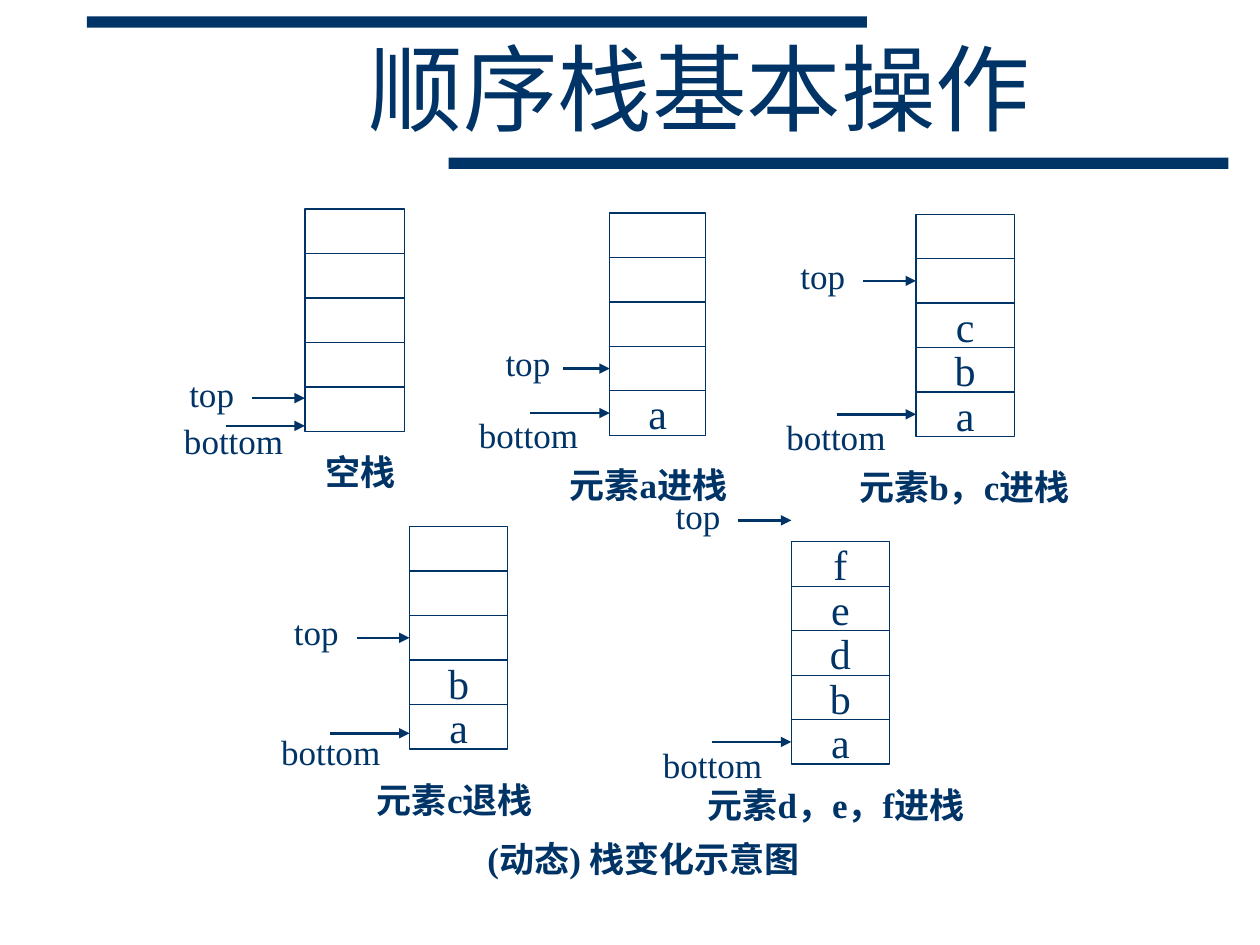
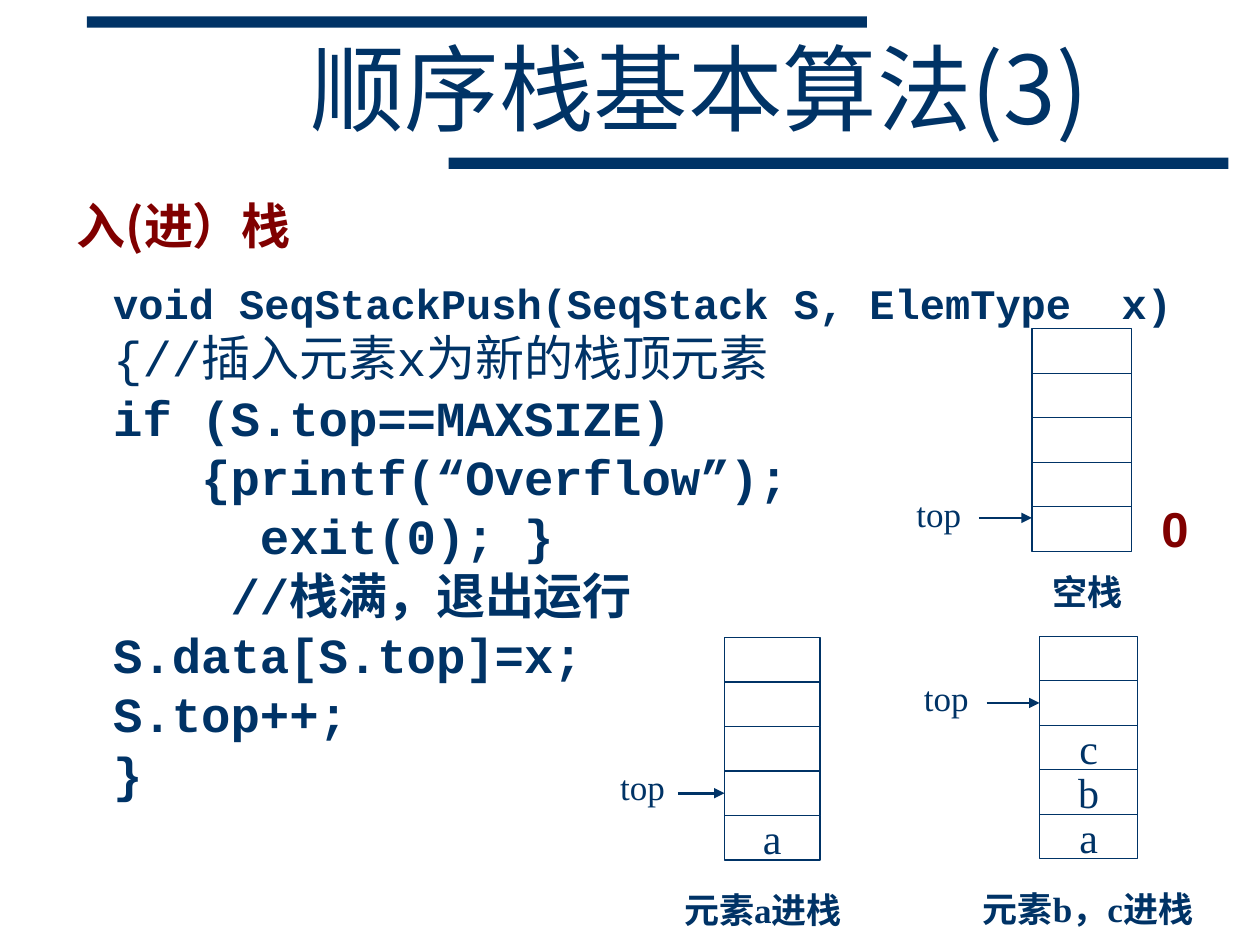
from dataclasses import dataclass

from lxml.etree import SubElement
from pptx import Presentation
from pptx.dml.color import RGBColor
from pptx.enum.shapes import MSO_CONNECTOR, MSO_SHAPE
from pptx.enum.text import MSO_ANCHOR, MSO_AUTO_SIZE, PP_ALIGN
from pptx.oxml.ns import qn
from pptx.util import Inches, Pt

NAVY, MAROON = "003366", "800000"
SERIF, MONO, SANS = "Times New Roman", "Courier New", "Arial"
HAN, TITLE_FONT = "Noto Sans CJK SC", "Noto Sans CJK JP"
COLUMNS, ROWS = 100, 75
CELL_HEIGHT = 3.53
TITLE_ONLY = 5


@dataclass
class StackState:
    """One stack; offsets run in grid units from its top left corner."""
    cells: str  # one character per cell, from the top
    width: float
    caption: str
    caption_at: tuple
    top_row: float
    bottom_row: float
    bottom_label: tuple
    top_column: float = -7.4
    top_arrow: float = 4.2


EMPTY = StackState("     ", 7.9, "空栈", (4.4, 20.85), 15, 17.2, (-5.65, 18.35))
PUSH_A = StackState("    a", 7.6, "元素a进栈", (3.05, 21.55), 12.2, 16.1,
                    (-6.45, 17.55), -6.5, 3.7)
PUSH_BC = StackState("  cba", 7.8, "元素b，c进栈", (3.85, 21.6), 5.2, 16.2, (-6.35, 17.65))
POP_C = StackState("   ba", 7.8, "元素c退栈", (3.6, 21.65), 8.7, 16.4, (-6.25, 17.85))
PUSH_DEF = StackState("fedba", 7.8, "元素d，e，f进栈", (3.55, 20.85), -1.7, 16.2,
                      (-6.25, 17.65))

PUSH_CODE = [
    "void SeqStackPush(SeqStack S, ElemType  x)",
    "{//插入元素x为新的栈顶元素",
    "if (S.top==MAXSIZE)",
    "   {printf(“Overflow”);",
    "     exit(0); }",
    "    //栈满，退出运行",
    "S.data[S.top]=x;",
    "S.top++;",
    "}",
]


def rgb(value):
    return RGBColor.from_string(value)


class StackDeck:
    def __init__(self):
        self.deck = Presentation()
        self.deck.slide_width, self.deck.slide_height = Inches(10), Inches(7.5)
        self.page = None

    def x(self, columns):
        return round(self.deck.slide_width * columns / COLUMNS)

    def y(self, rows):
        return round(self.deck.slide_height * rows / ROWS)

    def area(self, left, top, width, height):
        return self.x(left), self.y(top), self.x(width), self.y(height)

    def fill_text(self, box, lines, size, font=SERIF, han=HAN, color=NAVY, bold=False,
                  align=PP_ALIGN.CENTER, anchor=MSO_ANCHOR.MIDDLE, wrap=False):
        frame = box.text_frame
        frame.text = "\n".join(lines)
        frame.word_wrap, frame.vertical_anchor = wrap, anchor
        frame.auto_size = MSO_AUTO_SIZE.NONE
        for para in frame.paragraphs:
            para.alignment = align
            para.font.name, para.font.size, para.font.bold = font, Pt(size), bold
            para.font.color.rgb = rgb(color)
        for props in box.element.iter(qn("a:defRPr")):
            SubElement(props, qn("a:ea")).set("typeface", han)
        return frame.paragraphs

    def text(self, area, lines, size, **style):
        box = self.page.shapes.add_textbox(*self.area(*area))
        return self.fill_text(box, lines, size, **style)

    def label(self, words, center, width, bold=False):
        """Put one centred line around a point."""
        column, row = center
        self.text((column - width / 2, row - 2, width, 4), [words], 20, bold=bold)

    def rectangle(self, area, fill=None):
        box = self.page.shapes.add_shape(MSO_SHAPE.RECTANGLE, *self.area(*area))
        box.shadow.inherit = False
        if fill:
            box.fill.solid()
            box.fill.fore_color.rgb = rgb(fill)
            box.line.fill.background()
        else:
            box.fill.background()
            box.line.color.rgb = rgb(NAVY)
            box.line.width = Pt(0.75)
        return box

    def new_slide(self, title):
        self.page = self.deck.slides.add_slide(self.deck.slide_layouts[TITLE_ONLY])
        for left, top in ((6.9, 1.3), (35.6, 12.5)):
            self.rectangle((left, top, 61.9, 0.9), NAVY)
        box = self.page.shapes.title
        box.left, box.top, box.width, box.height = self.area(15.15, 2.55, 80.7, 10)
        paras = self.fill_text(box, [title], 54, font=TITLE_FONT, han=TITLE_FONT, wrap=True)
        paras[0].line_spacing = 0.85

    def pointer(self, left, top, row, length, cells):
        """Draw an arrow to the stack's side, joined to a cell it meets halfway up."""
        index = max(0, int(row // CELL_HEIGHT))
        middle = (index + 0.5) * CELL_HEIGHT
        joined = index < len(cells) and abs(row - middle) < 0.35
        height = self.y(top + (middle if joined else row))
        arrow = self.page.shapes.add_connector(
            MSO_CONNECTOR.STRAIGHT, self.x(left - length), height, self.x(left), height)
        if joined:
            arrow.end_connect(cells[index], 1)
        arrow.line.color.rgb = rgb(NAVY)
        arrow.line.width = Pt(1.5)
        props = arrow.element.find(qn("p:spPr"))
        SubElement(props.find(qn("a:ln")), qn("a:tailEnd")).set("type", "triangle")
        SubElement(props, qn("a:effectLst"))

    def stack(self, state, left, top, show_bottom=True):
        cells = []
        for index, letter in enumerate(state.cells):
            cell = self.rectangle(
                (left, top + index * CELL_HEIGHT, state.width, CELL_HEIGHT))
            if letter.strip():
                self.fill_text(cell, [letter], 24)
            cells.append(cell)
        column, row = state.caption_at
        self.label(state.caption, (left + column, top + row), 16.5, bold=True)
        self.label("top", (left + state.top_column, top + state.top_row - 0.35), 5.5)
        self.pointer(left, top, state.top_row, state.top_arrow, cells)
        if show_bottom:
            column, row = state.bottom_label
            self.label("bottom", (left + column, top + row), 8.7)
            self.pointer(left, top, state.bottom_row, 6.3, cells)

    def code(self, area, lines):
        paras = self.text(area, lines, 28, font=MONO, bold=True, align=PP_ALIGN.LEFT,
                          anchor=MSO_ANCHOR.TOP, wrap=True)
        for para in paras:
            para.line_spacing = Pt(33.9)
        paras[0].font.size, paras[0].line_spacing = Pt(24), Pt(29.5)
        paras[1].font.bold = False
        box = self.page.shapes[-1]
        for props in box.element.iter(qn("a:pPr")):
            props.set("indent", str(self.x(2.9)))


def main():
    show = StackDeck()

    show.new_slide("顺序栈基本操作")
    show.stack(EMPTY, 24.2, 16.6)
    show.stack(PUSH_A, 48.4, 16.9)
    show.stack(PUSH_BC, 72.7, 17)
    show.stack(POP_C, 32.5, 41.8)
    show.stack(PUSH_DEF, 62.8, 43)
    show.label("(动态) 栈变化示意图", (51.1, 68.15), 38, bold=True)

    show.new_slide("顺序栈基本算法(3)")
    heading = dict(color=MAROON, bold=True, align=PP_ALIGN.LEFT,
                   anchor=MSO_ANCHOR.TOP, wrap=True)
    show.text((5.1, 15, 60, 5.9), ["入(进）栈"], 28, font=HAN, **heading)
    show.code((5.1, 21.4, 91.8, 42.7), PUSH_CODE)
    show.stack(EMPTY, 81.9, 26.1, show_bottom=False)
    show.stack(PUSH_A, 57.5, 50.6, show_bottom=False)
    show.stack(PUSH_BC, 82.5, 50.5, show_bottom=False)
    show.text((91.2, 39.1, 8, 5.7), ["0"], 28, font=SANS, **heading)

    show.deck.save("out.pptx")


if __name__ == "__main__":
    main()
